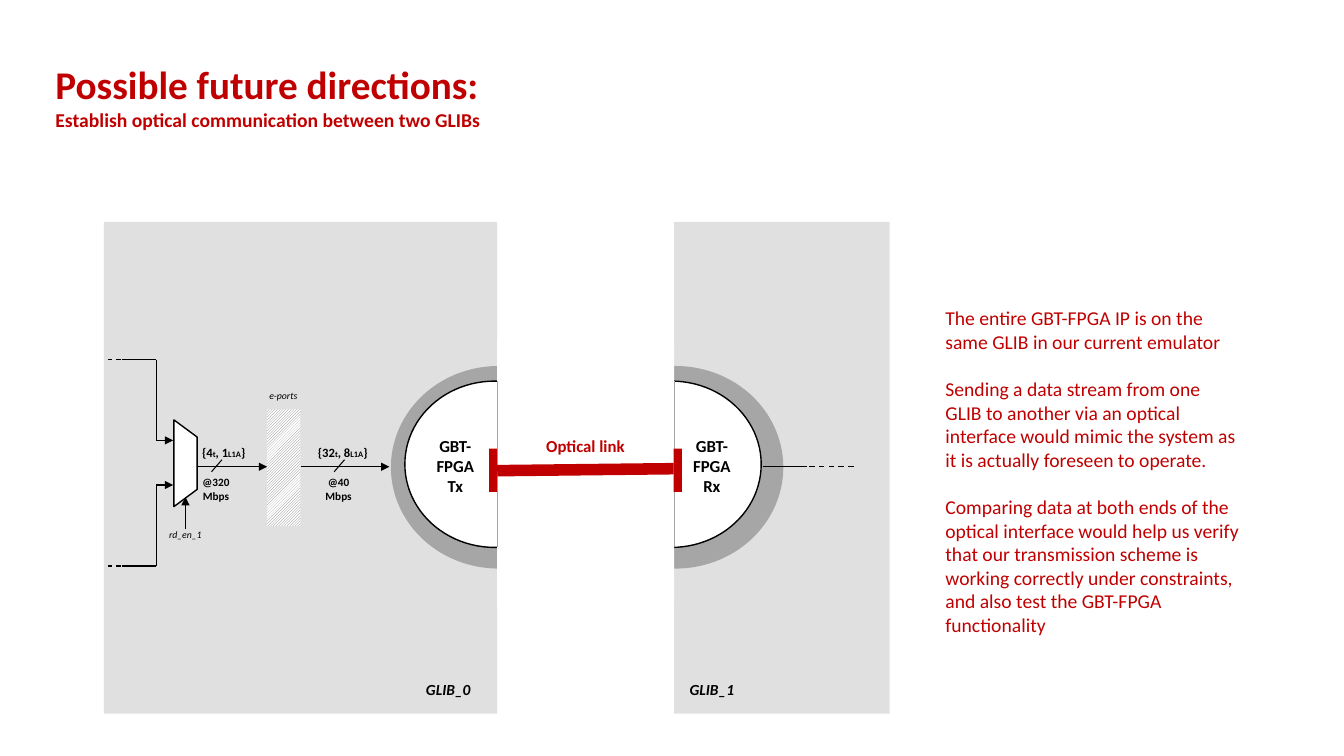
from lxml import etree
from pptx import Presentation
from pptx.dml.color import RGBColor
from pptx.enum.dml import MSO_LINE, MSO_PATTERN
from pptx.enum.shapes import MSO_CONNECTOR, MSO_SHAPE
from pptx.enum.text import MSO_ANCHOR, MSO_AUTO_SIZE, PP_ALIGN
from pptx.oxml.ns import qn
from pptx.util import Pt

RECT, OVAL, TRAPEZOID = MSO_SHAPE.RECTANGLE, MSO_SHAPE.OVAL, MSO_SHAPE.TRAPEZOID
STRAIGHT, DASH = MSO_CONNECTOR.STRAIGHT, MSO_LINE.DASH
DIAGONAL = MSO_PATTERN.DARK_UPWARD_DIAGONAL
LEFT, CENTER = PP_ALIGN.LEFT, PP_ALIGN.CENTER
TOP, NO_FIT = MSO_ANCHOR.TOP, MSO_AUTO_SIZE.NONE
COLORS = {"red": "C00000", "black": "000000", "white": "FFFFFF",
          "gray": "A6A6A6", "hatch": "808080"}
FONT = "Calibri"
BUS_Y = 175  # signal axis below a board's top edge


def rgb(name):
    return RGBColor.from_string(COLORS[name])


def add_block(kind, x, y, w, h, fill, outlined=False):
    block = slide.shapes.add_shape(kind, Pt(x), Pt(y), Pt(w), Pt(h))
    block.shadow.inherit = False
    block.fill.solid()
    block.fill.fore_color.rgb = rgb(fill)
    if outlined:
        block.line.color.rgb = rgb("black")
        block.line.width = Pt(1)
    else:
        block.line.fill.background()
    return block


def add_line(x1, y1, x2, y2, color="black", width=1, arrow=False, dashed=False):
    line = slide.shapes.add_connector(STRAIGHT, Pt(x1), Pt(y1), Pt(x2), Pt(y2))
    line.line.color.rgb = rgb(color)
    line.line.width = Pt(width)
    if dashed:
        line.line.dash_style = DASH
    properties = line._element.spPr
    if arrow:
        outline = properties.find(qn("a:ln"))
        etree.SubElement(outline, qn("a:tailEnd"), type="triangle")
    etree.SubElement(properties, qn("a:effectLst"))


def style(paragraph, size, color, bold=False, italic=False, align=LEFT):
    paragraph.alignment = align
    font = paragraph.font
    font.name, font.size, font.color.rgb = FONT, Pt(size), rgb(color)
    font.bold, font.italic = bold, italic


def add_text(x, y, w, h, lines, size, color="black", align=CENTER, gap=0, **look):
    frame = slide.shapes.add_textbox(Pt(x), Pt(y), Pt(w), Pt(h)).text_frame
    frame.word_wrap = True
    frame.text = "\n".join(lines)
    for paragraph in frame.paragraphs:
        style(paragraph, size, color, align=align, **look)
        paragraph.space_after = Pt(gap)
    return frame


def add_heading(x, y, w, h):
    title = slide.shapes.title
    title.left, title.top, title.width, title.height = Pt(x), Pt(y), Pt(w), Pt(h)
    frame = title.text_frame
    frame.text = ("Possible future directions:\n"
                  "Establish optical communication between two GLIBs")
    frame.auto_size, frame.vertical_anchor = NO_FIT, TOP
    for paragraph, size in zip(frame.paragraphs, (28, 14)):
        style(paragraph, size, "red", bold=True)


def add_board(x, y, w, h):
    board = add_block(RECT, x, y, w, h, "gray")
    color = board.fill._xPr.find(qn("a:solidFill"))[0]
    etree.SubElement(color, qn("a:alpha"), val="34000")


def add_transceiver(edge, y, role, role_x, board_name, name_x, mask_x, mask_w):
    """Half-hidden GBT-FPGA core on the board edge that faces the link."""
    add_block(OVAL, edge - 76, y + 103, 154, 144.7, "gray")
    add_block(OVAL, edge - 66, y + 113.8, 128.2, 118.8, "white", outlined=True)
    add_block(RECT, edge + mask_x, y + 85, mask_w, 190, "white")
    add_line(edge, y + 113.8, edge, y + 232.6, "gray", 0.25)
    add_text(edge + role_x - 30.6, y + 149, 61.2, 51, ["GBT-FPGA", role], 12, bold=True)
    add_text(edge + name_x - 43.5, y + 324, 87, 21, [board_name], 11,
             bold=True, italic=True)


def add_input(x, y, start_y, end_y):
    add_line(x + 12.5, y + start_y, x + 3, y + start_y, dashed=True)
    add_line(x + 13, y + start_y, x + 37.5, y + start_y)
    add_line(x + 37.5, y + start_y, x + 37.5, y + end_y)
    add_line(x + 37.5, y + end_y, x + 49.5, y + end_y, arrow=True)


def add_bus(x, y, start, end, slash, lane, counts, rate):
    add_line(x + start, y + BUS_Y, x + end, y + BUS_Y, arrow=True)
    add_line(x + slash + 3.7, y + 170, x + slash - 3.7, y + 178.6, width=0.75)
    add_text(x + slash - 25.7, y + 177.8, 50.4, 26.6, [rate, "Mbps"], 8, bold=True)
    label = add_text(x + lane - 27.4, y + 155.5, 54.7, 18, [""], 9, bold=True)
    data, triggers = counts
    for text, size in (("{" + data, 9), ("t", 6), (", " + triggers, 9),
                       ("L1A", 6), ("}", 9)):
        run = label.paragraphs[0].add_run()
        run.text, run.font.size = text, Pt(size)


def add_sender(x, y, w, h):
    add_board(x, y, w, h)
    # Multiplexer and its inputs
    mux = add_block(TRAPEZOID, x + 27.4, y + 164.2, 61.9, 16.6, "white", outlined=True)
    mux.rotation = 90
    mux.adjustments[0] = 0.74
    add_input(x, y, 98.6, 156.2)
    add_input(x, y, 246, 188)
    add_line(x + 58.3, y + 219.6, x + 58.3, y + 196.6, arrow=True)
    add_text(x + 33, y + 216, 50.4, 15.8, ["rd_en_1"], 7, italic=True)
    # E-ports and buses
    ports = add_block(RECT, x + 116.6, y + 134, 23.8, 83.5, "white")
    ports.fill.patterned()
    ports.fill.pattern = DIAGONAL
    ports.fill.fore_color.rgb = rgb("hatch")
    ports.fill.back_color.rgb = rgb("white")
    add_text(x + 103, y + 116.6, 50.4, 15.8, ["e-ports"], 7, italic=True)
    add_bus(x, y, 66.2, 116.6, 80.6, 85.7, ("4", "1"), "@320")
    add_bus(x, y, 141, 204, 168.2, 170.7, ("32", "8"), "@40")
    add_transceiver(x + w, y, "Tx", -30, "GLIB_0", -35, 0, 164)


def add_receiver(x, y, w, h):
    add_board(x, y, w, h)
    add_transceiver(x, y, "Rx", 27, "GLIB_1", 27, -82, 82)
    add_line(x + 63.4, y + BUS_Y, x + 95, y + BUS_Y)
    add_line(x + 128.2, y + BUS_Y, x + 65.5, y + BUS_Y, dashed=True)


def add_optical_link(x, y, w):
    add_text(x + 12.5, y - 13, 101, 22, ["Optical link"], 12, "red", bold=True)
    add_line(x, y + 15.8, x + w, y + 14.4, "red", 8.25)
    for connector_x in (x - 5.8, x + w):
        add_block(RECT, connector_x, y, 5.8, 31, "red")


def add_rationale(x, y, w, h):
    add_text(x, y, w, h, [
        "The entire GBT-FPGA IP is on the same GLIB in our current emulator",
        "Sending a data stream from one GLIB to another via an optical interface "
        "would mimic the system as it is actually foreseen to operate.",
        "Comparing data at both ends of the optical interface would help us verify "
        "that our transmission scheme is working correctly under constraints, "
        "and also test the GBT-FPGA functionality",
    ], 14, "red", align=LEFT, gap=17)


prs = Presentation()
prs.slide_width, prs.slide_height = Pt(960), Pt(540)
slide = prs.slides.add_slide(prs.slide_layouts[5])
add_heading(32.4, 39.6, 799, 58.3)
add_sender(74.2, 158.4, 281, 351.4)
add_receiver(481.5, 158.4, 154, 351.4)
add_optical_link(355.2, 320.4, 126)
add_rationale(668.2, 215.3, 224.6, 245)
prs.save("out.pptx")
